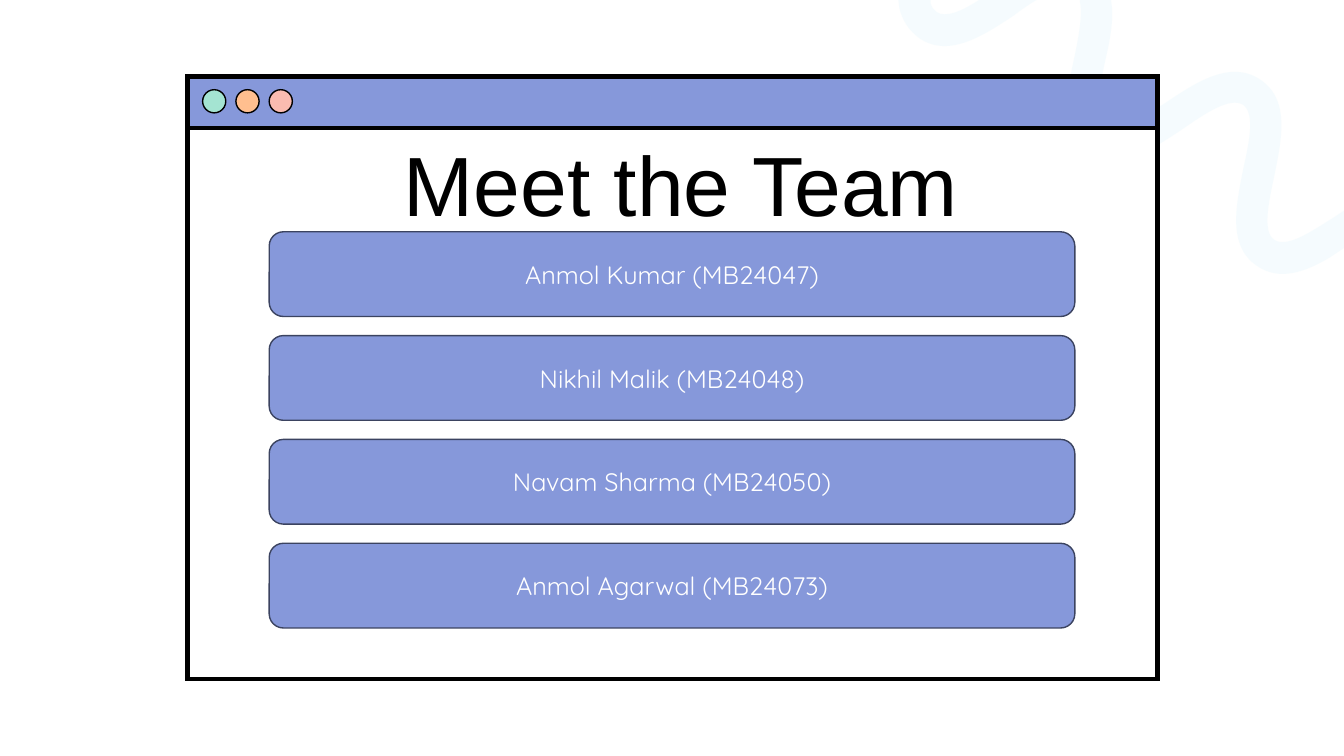
import pptx
import pptx.util
import pptx.dml.color
import pptx.enum.shapes
import pptx.enum.text
from lxml import etree

Inches = pptx.util.Inches
RGB = pptx.dml.color.RGBColor
KIND = pptx.enum.shapes.MSO_SHAPE
MID = pptx.enum.text.MSO_ANCHOR.MIDDLE
NS = "{http://schemas.openxmlformats.org/drawingml/2006/main}"

BLACK = RGB(0x00, 0x00, 0x00)
WHITE = RGB(0xFF, 0xFF, 0xFF)
BLUE = RGB(0x86, 0x98, 0xDA)
NAVY = RGB(0x3B, 0x43, 0x60)
MINT = RGB(0xA4, 0xE4, 0xD2)
PEACH = RGB(0xFF, 0xBF, 0x8F)
PINK = RGB(0xFA, 0xBB, 0xB0)
PALE = RGB(0xEC, 0xF9, 0xFE)

# Ribbon outlines in inches: two numbers make a line, six make a curve
RIBBON = [
    [(10.71, 0), (11.02, 0), (11.03, 0.08),
     (11.04, 0.25, 11, 0.44, 10.96, 0.61),
     (10.9, 0.89, 10.84, 1.17, 10.97, 1.25),
     (11.09, 1.33, 11.33, 1.17, 11.56, 1.02),
     (11.86, 0.82, 12.2, 0.59, 12.5, 0.79),
     (12.8, 0.99, 12.71, 1.39, 12.64, 1.74),
     (12.58, 2.02, 12.52, 2.3, 12.64, 2.38),
     (12.77, 2.46, 13, 2.3, 13.24, 2.15),
     (13.33, 2.09), (13.33, 2.46), (13.18, 2.56),
     (12.94, 2.7, 12.69, 2.79, 12.47, 2.64),
     (12.17, 2.44, 12.26, 2.04, 12.33, 1.68),
     (12.39, 1.41, 12.45, 1.13, 12.33, 1.04),
     (12.2, 0.96, 11.96, 1.12, 11.73, 1.28),
     (11.43, 1.48, 11.09, 1.71, 10.79, 1.51),
     (10.5, 1.31, 10.58, 0.91, 10.66, 0.55),
     (10.7, 0.35, 10.74, 0.14, 10.71, 0.01)],
    [(8.91, 0), (9.23, 0), (9.23, 0.03),
     (9.24, 0.07, 9.26, 0.1, 9.29, 0.12),
     (9.38, 0.18, 9.54, 0.11, 9.71, 0),
     (10.28, 0), (10.23, 0.03),
     (10.17, 0.07, 10.11, 0.11, 10.06, 0.15),
     (9.76, 0.35, 9.41, 0.58, 9.12, 0.38),
     (9.01, 0.3, 8.95, 0.2, 8.92, 0.08)],
]


def write(frame, text, size=18, font="Quicksand", color=WHITE, space=None):
    frame.word_wrap = True
    frame.auto_size = pptx.enum.text.MSO_AUTO_SIZE.NONE
    frame.vertical_anchor = MID
    para = frame.paragraphs[0]
    para.alignment = pptx.enum.text.PP_ALIGN.CENTER
    para.line_spacing = space
    run = para.add_run()
    run.text = text
    run.font.size = pptx.util.Pt(size)
    run.font.name = font
    run.font.color.rgb = color


class Deck:
    """Holds the style and the current slide."""
    edge = BLACK
    head = "Arial"

    def __init__(self):
        self.show = pptx.Presentation()
        self.show.slide_width = Inches(13.33)
        self.show.slide_height = Inches(7.5)
        self.slide = self.show.slides.add_slide(self.show.slide_layouts[5])

    def shape(self, kind, x, y, w, h, fill, line=None, width=1):
        item = self.slide.shapes.add_shape(kind, *map(Inches, (x, y, w, h)))
        item.shadow.inherit = False
        item.fill.solid()
        item.fill.fore_color.rgb = fill
        item.line.color.rgb = line or self.edge
        item.line.width = pptx.util.Pt(width)
        return item

    def pane(self, y, h, fill):
        item = self.shape(KIND.RECTANGLE, 1.86, y, 9.62, h, fill, width=3)
        # Sharp corners
        line = item.element.spPr.find(NS + "ln")
        etree.SubElement(line, NS + "miter").set("lim", "800000")

    def ribbon(self, loops, height, fill, alpha):
        ends = [[tuple(map(Inches, part[-2:])) for part in loop] for loop in loops]
        pen = self.slide.shapes.build_freeform(*ends[0][0])
        for i, dots in enumerate(ends):
            if i:
                pen.move_to(*dots[0])
            pen.add_line_segments(dots[1:], close=True)
        item = pen.convert_to_shape()
        item.shadow.inherit = False
        item.line.fill.background()
        item.fill.solid()
        item.fill.fore_color.rgb = fill
        item.height = Inches(height)

        # Bend the straight segments into curves
        track = item.element.spPr.find(f".//{NS}path")
        track.set("h", str(item.height))
        nodes = [node for node in track if node.tag != NS + "close"]
        for node, part in zip(nodes, sum(loops, [])):
            if len(part) == 6:
                node.tag = NS + "cubicBezTo"
                for i in (0, 1):
                    x, y = map(Inches, part[2 * i:2 * i + 2])
                    spot = etree.Element(NS + "pt", x=str(x - item.left), y=str(y - item.top))
                    node.insert(i, spot)

        # Transparency
        tone = item.element.spPr.find(f"{NS}solidFill/{NS}srgbClr")
        etree.SubElement(tone, NS + "alpha").set("val", str(alpha * 1000))

    def title(self, text, x, y, w, h):
        item = self.slide.shapes.title
        item.left, item.top, item.width, item.height = map(Inches, (x, y, w, h))
        write(item.text_frame, text, size=60, font=self.head, color=BLACK, space=0.9)
        # Bring the title in front of the window
        item.element.getparent().append(item.element)

    def card(self, text, x, y, w, h):
        item = self.shape(KIND.ROUNDED_RECTANGLE, x, y, w, h, BLUE, NAVY)
        write(item.text_frame, text)


def main():
    deck = Deck()

    # Background ribbon
    deck.ribbon(RIBBON, 2.72, PALE, 50)

    # Window with its bar and buttons
    deck.pane(1.27, 5.47, WHITE)
    deck.pane(0.76, 0.51, BLUE)
    for i, fill in enumerate((MINT, PEACH, PINK)):
        deck.shape(KIND.OVAL, 2.01 + 0.33 * i, 0.89, 0.23, 0.23, fill)

    # Title
    deck.title("Meet the Team", 1.78, 1.46, 9.95, 0.84)

    # Team cards
    team = ("Anmol Kumar (MB24047)", "Nikhil Malik (MB24048)",
            "Navam Sharma (MB24050)", "Anmol Agarwal (MB24073)")
    for i, name in enumerate(team):
        deck.card(name, 2.67, 2.3 + 1.03 * i, 7.99, 0.84)

    deck.show.save("out.pptx")


if __name__ == "__main__":
    main()
